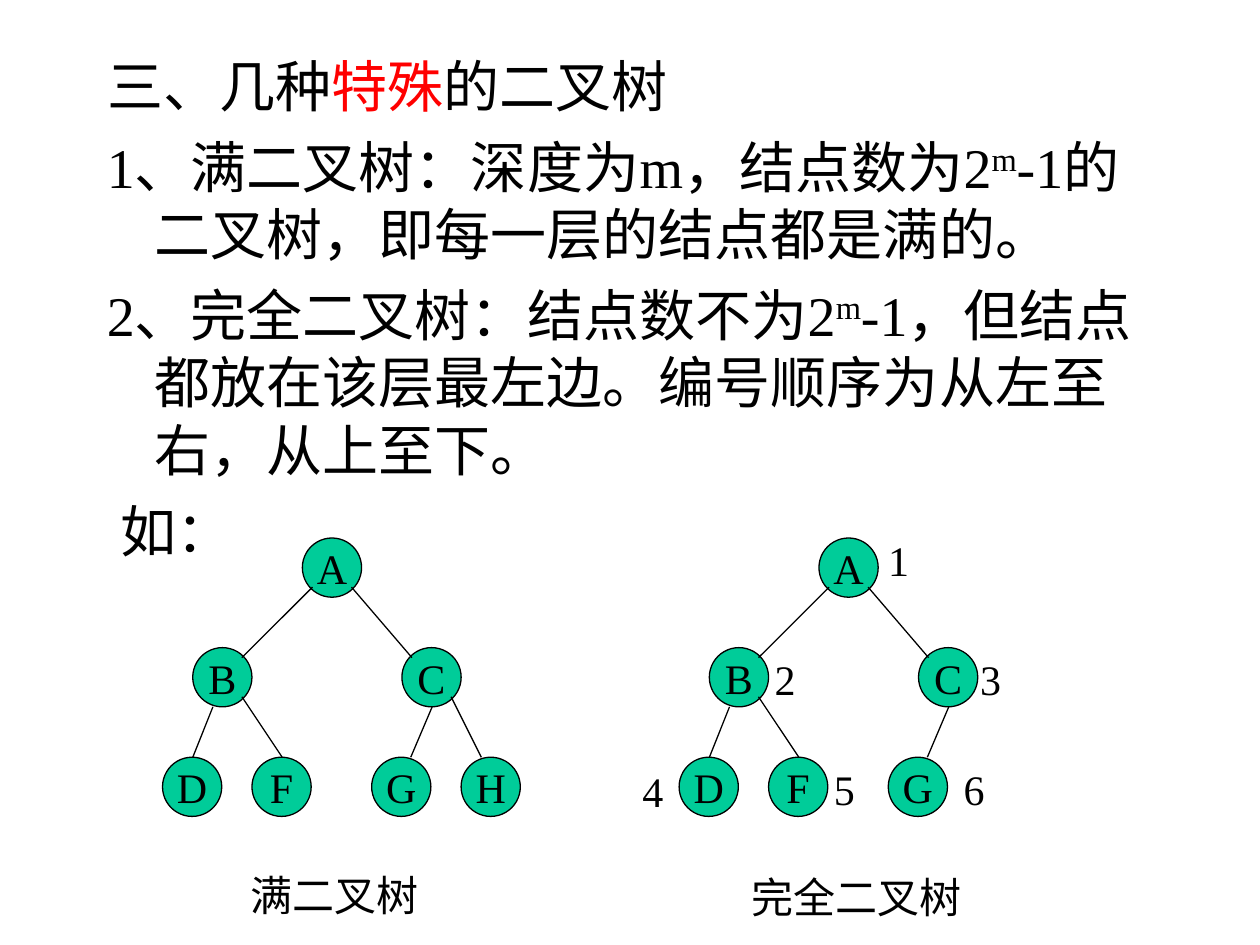
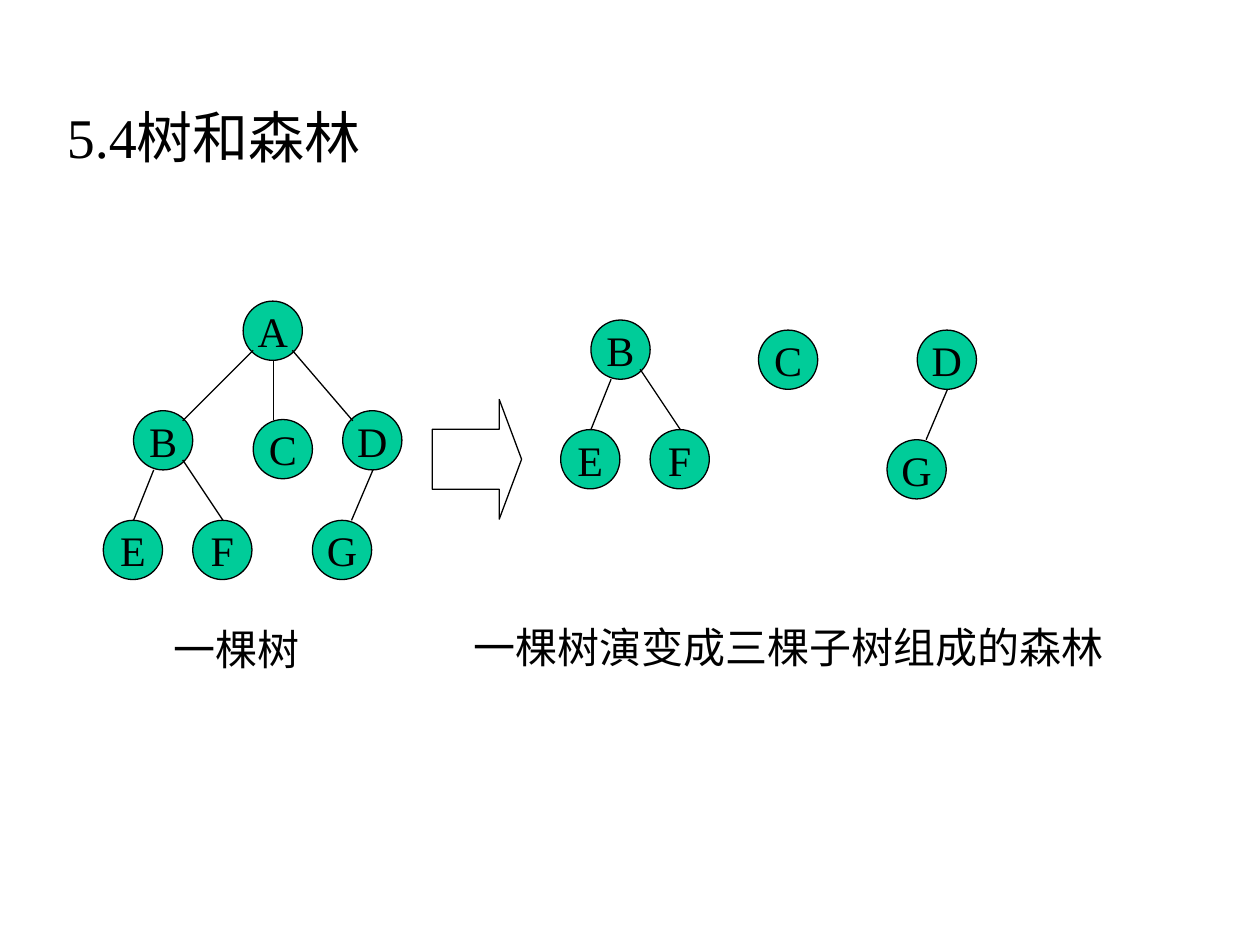
from pptx import Presentation
from pptx.dml.color import RGBColor
from pptx.enum import shapes, text
from pptx.util import Inches, Pt
from lxml import etree

FONT = "Times New Roman"
HUES = {"ink": "000000", "mark": "FF0000", "node": "00CC99", "paper": "FFFFFF"}
BIG, SMALL = 32, 24
NODE = 0.47
LEFT, TOP, MID = text.PP_ALIGN.LEFT, text.MSO_ANCHOR.TOP, text.MSO_ANCHOR.MIDDLE

# Points on a node where branches start or end, from its top left corner
PORTS = {
    "nw": (0.08, 0.08), "ne": (0.39, 0.08), "sw": (0.08, 0.39), "se": (0.39, 0.39),
    "top": (0.24, 0), "top_l": (0.16, 0), "top_r": (0.31, 0),
    "low": (0.24, NODE), "low_l": (0.16, NODE),
}
# Branch kinds: step to the child, port on the parent, port on the child
SLOTS = {
    "left": (-0.87, 0.87, "sw", "ne"),
    "mid": (0.08, 0.94, "low", "top_l"),
    "right": (0.79, 0.87, "se", "nw"),
    "leaf_l": (-0.24, 0.87, "low_l", "top"),
    "leaf_r": (0.47, 0.87, "se", "top"),
    "twig_l": (-0.24, 0.87, "low", "top_r"),
    "twig_r": (0.47, 0.87, "se", "top_l"),
}


def hue(name):
    return RGBColor.from_string(HUES[name])


def style(font, size, color="ink"):
    font.name, font.size, font.color.rgb = FONT, Pt(size), hue(color)


def fill_runs(para, parts, size):
    """Parts are (words, kind) pairs; kind is "", "mark" or "sup"."""
    for words, kind in parts:
        run = para.add_run()
        run.text = words
        style(run.font, size, "mark" if kind == "mark" else "ink")
        if kind == "sup":
            run.font._element.set("baseline", "30000")


def add_title(slide, x, y, parts):
    title = slide.shapes.title
    title.left, title.top = Inches(x), Inches(y)
    title.width, title.height = Inches(8.5), Inches(0.63)
    frame = title.text_frame
    frame.word_wrap, frame.vertical_anchor = True, TOP
    frame.auto_size = text.MSO_AUTO_SIZE.NONE
    frame.paragraphs[0].alignment = LEFT
    fill_runs(frame.paragraphs[0], parts, BIG)


def add_body(slide, x, y, w, h, items):
    """Items are (first line indent, parts) pairs."""
    frame = slide.shapes.add_textbox(Inches(x), Inches(y), Inches(w), Inches(h)).text_frame
    frame.word_wrap = True
    for i, (first, parts) in enumerate(items):
        para = frame.add_paragraph() if i else frame.paragraphs[0]
        props = para._p.get_or_add_pPr()
        props.set("marL", str(Inches(0.38)))
        props.set("indent", str(Inches(first)))
        if i:
            para.space_before = Pt(8)
        fill_runs(para, parts, BIG)


def add_label(slide, x, y, w, words):
    box = slide.shapes.add_textbox(Inches(x), Inches(y), Inches(w), Inches(0.5))
    frame = box.text_frame
    frame.word_wrap = False
    frame.auto_size = text.MSO_AUTO_SIZE.SHAPE_TO_FIT_TEXT
    frame.text = words
    style(frame.paragraphs[0].runs[0].font, SMALL)


def add_shape(slide, kind, x, y, w, h, fill):
    shape = slide.shapes.add_shape(kind, Inches(x), Inches(y), Inches(w), Inches(h))
    shape.shadow.inherit = False
    shape.fill.solid()
    shape.fill.fore_color.rgb = hue(fill)
    shape.line.color.rgb, shape.line.width = hue("ink"), Pt(0.75)
    return shape


def add_node(slide, x, y, name):
    node = add_shape(slide, shapes.MSO_SHAPE.OVAL, x, y, NODE, NODE, "node")
    frame = node.text_frame
    frame.word_wrap, frame.vertical_anchor = False, MID
    frame.text = name
    para = frame.paragraphs[0]
    para.alignment = text.PP_ALIGN.CENTER
    style(para.runs[0].font, SMALL)


def add_branch(slide, x1, y1, x2, y2):
    line = slide.shapes.add_connector(
        shapes.MSO_CONNECTOR.STRAIGHT, Inches(x1), Inches(y1), Inches(x2), Inches(y2))
    line.line.color.rgb, line.line.width = hue("ink"), Pt(0.75)
    props = line._element.spPr
    etree.SubElement(props, props.tag.replace("/presentationml/", "/drawingml/")
                     .replace("}spPr", "}effectLst"))


def add_tree(slide, x, y, name, kids=None):
    """Draw a node, then each child subtree and the branch to it."""
    add_node(slide, x, y, name)
    for slot, kid in (kids or {}).items():
        dx, dy, start, end = SLOTS[slot]
        (sx, sy), (ex, ey) = PORTS[start], PORTS[end]
        add_tree(slide, x + dx, y + dy, *kid)
        add_branch(slide, x + sx, y + sy, x + dx + ex, y + dy + ey)


def make_kinds(deck):
    slide = deck.slides.add_slide(deck.slide_layouts[5])
    add_title(slide, 0.75, 0.36, [("三、几种", ""), ("特殊", "mark"), ("的二叉树", "")])
    add_body(slide, 0.75, 1, 8.5, 5.66, [
        (-0.38, [("1、满二叉树：深度为m，结点数为2", ""), ("m", "sup"),
                 ("-1的二叉树，即每一层的结点都是满的。", "")]),
        (-0.38, [("2、完全二叉树：结点数不为2", ""), ("m", "sup"),
                 ("-1，但结点都放在该层最左边。编号顺序为从左至右，从上至下。", "")]),
        (-0.27, [("如：", "")]),
    ])

    # Full tree and complete tree
    pair = ("B", {"leaf_l": ("D",), "leaf_r": ("F",)})
    full = ("C", {"twig_l": ("G",), "twig_r": ("H",)})
    part = ("C", {"twig_l": ("G",)})
    add_tree(slide, 2.4, 4.27, "A", {"left": pair, "right": full})
    add_tree(slide, 6.5, 4.27, "A", {"left": pair, "right": part})
    add_label(slide, 1.89, 6.85, 1.55, "满二叉树")
    add_label(slide, 5.87, 6.87, 1.9, "完全二叉树")

    # Node numbers
    spots = [(6.95, 4.19), (6.05, 5.14), (7.68, 5.14), (5, 6.03), (6.52, 6.01), (7.55, 6.01)]
    for num, (x, y) in enumerate(spots, 1):
        add_label(slide, x, y, 0.36, str(num))


def make_forest(deck):
    slide = deck.slides.add_slide(deck.slide_layouts[5])
    add_title(slide, 0.43, 0.76, [("5.4树和森林", "")])

    # One tree, and the forest of its subtrees
    b = ("B", {"leaf_l": ("E",), "leaf_r": ("F",)})
    c = ("C",)
    d = ("D", {"twig_l": ("G",)})
    add_tree(slide, 1.93, 2.39, "A", {"left": b, "mid": c, "right": d})
    for x, y, tree in [(4.69, 2.54, b), (6.02, 2.62, c), (7.28, 2.62, d)]:
        add_tree(slide, x, y, *tree)

    # Arrow and captions
    arrow = add_shape(slide, shapes.MSO_SHAPE.RIGHT_ARROW, 3.43, 3.17, 0.71, 0.95, "paper")
    arrow.adjustments[0], arrow.adjustments[1] = 0.5, 0.25
    add_label(slide, 1.28, 4.9, 1.2, "一棵树")
    add_label(slide, 3.66, 4.88, 5.2, "一棵树演变成三棵子树组成的森林")


def main():
    deck = Presentation()
    deck.slide_width, deck.slide_height = Inches(10), Inches(7.5)
    make_kinds(deck)
    make_forest(deck)
    deck.save("out.pptx")


if __name__ == "__main__":
    main()
